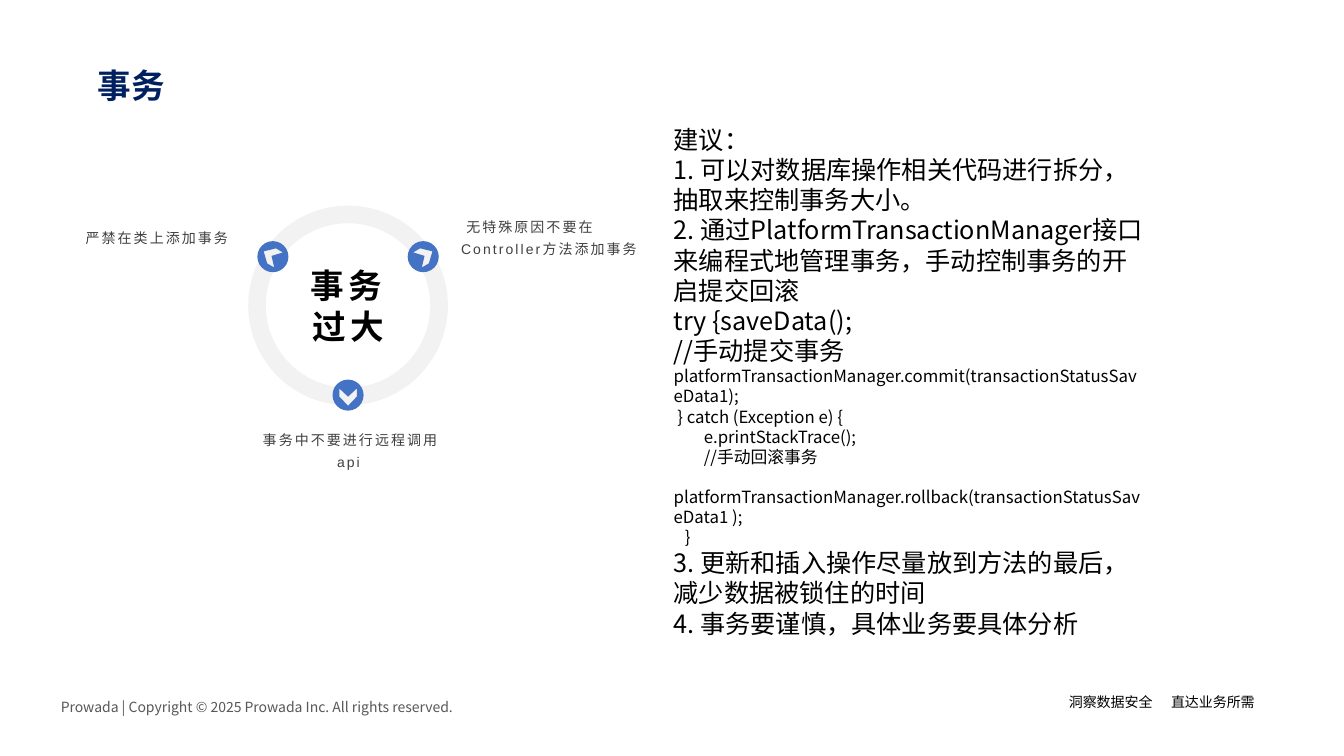
import math
from pptx import Presentation
from pptx import util as u
from pptx.dml.color import RGBColor
from pptx.enum import shapes, text
from pptx.oxml.ns import qn
from lxml import etree

SANS, TITLE_FONT, LABEL_FONT = "Noto Sans CJK SC", "Noto Sans CJK JP", "Arial"
INK, NAVY, BLUE, RING_GREY = "000000", "002060", "4472C4", "F2F2F2"

TITLE = "事务"
HUB = "事务过大"
WARNINGS = [
    (" 严禁在类上添加事务", (18.7, 139.7), "r", "m"),
    (" 无特殊原因不要在Controller方法添加事务", (322.3, 140), "l", "m"),
    (" 事务中不要进行远程调用api", (173.3, 301.3), "ctr", "t"),
]
MARKERS = [(303, 300), (57, 60), (180, 180)]
ADVICE = [
    ("建议：", 18, 0, 0),
    ("1. 可以对数据库操作相关代码进行拆分，抽取来控制事务大小。", 18, 0, 0),
    ("2. 通过PlatformTransactionManager接口来编程式地管理事务，手动控制事务的开启提交回滚", 18, 0, 0),
    ("try {saveData();", 18, 0, 0),
    ("//手动提交事务", 18, 0, 0),
    ("platformTransactionManager.commit(transactionStatusSaveData1);", 12, 0, 0),
    (" } catch (Exception e) {", 12, 0, 0),
    ("e.printStackTrace();", 12, 21.6, 0),
    ("//手动回滚事务", 12, 21.6, 0),
    ("platformTransactionManager.rollback(transactionStatusSaveData1 );", 12, 0, 14.4),
    ("}", 12, 8, 0),
    ("3. 更新和插入操作尽量放到方法的最后，减少数据被锁住的时间", 18, 0, 0),
    ("4. 事务要谨慎，具体业务要具体分析", 18, 0, 0),
]
COPYRIGHT = "Prowada | Copyright © 2025 Prowada Inc. All rights reserved."
SLOGAN = "洞察数据安全\t直达业务所需"

RING_X, RING_Y, RING_SIZE, RING_BAND = 248.6, 218.2, 142.6, 0.088
ORBIT, MARKER_RADIUS = 64, 11.1
CHEVRON = [(0, -7.6), (-6.2, -1.1), (-6.2, 4.7), (0, -1.1), (6.2, 4.7), (6.2, -1.1)]
RIM = [(-MARKER_RADIUS, 0), (0, -MARKER_RADIUS), (MARKER_RADIUS, 0), (0, MARKER_RADIUS),
       (-MARKER_RADIUS, 0)]
QUARTER = 90 * 60000

ALIGN = {"l": text.PP_ALIGN.LEFT, "ctr": text.PP_ALIGN.CENTER, "r": text.PP_ALIGN.RIGHT}
ANCHOR = {"t": text.MSO_ANCHOR.TOP, "m": text.MSO_ANCHOR.MIDDLE, "b": text.MSO_ANCHOR.BOTTOM}

deck = Presentation()
deck.slide_width, deck.slide_height = u.Pt(960), u.Pt(540)
slide = deck.slides.add_slide(deck.slide_layouts[6])


def color(hex_code):
    return RGBColor.from_string(hex_code)


def paint(shape, fill):
    shape.shadow.inherit = False
    shape.fill.solid()
    shape.fill.fore_color.rgb = color(fill)
    shape.line.fill.background()


def write(lines, box, font=SANS, ink=INK, bold=False, align="l", anchor="t",
          leading=None, tracking=0, tab=None):
    frame = slide.shapes.add_textbox(*map(u.Pt, box)).text_frame
    frame.word_wrap = True
    frame.vertical_anchor = ANCHOR[anchor]
    for number, (words, size, indent, gap) in enumerate(lines):
        para = frame.paragraphs[0] if number == 0 else frame.add_paragraph()
        para.alignment = ALIGN[align]
        para.line_spacing = leading or u.Pt(size * 1.2)
        para.space_before = u.Pt(gap)
        props = para._p.get_or_add_pPr()
        if indent:
            props.set("marL", str(u.Pt(indent)))
        if tab:
            stops = etree.SubElement(props, qn("a:tabLst"))
            etree.SubElement(stops, qn("a:tab"), pos=str(u.Pt(tab)), algn="l")
        run = para.add_run()
        run.text = words
        run.font.size, run.font.name, run.font.bold = u.Pt(size), font, bold
        run.font.color.rgb = color(ink)
        if font != LABEL_FONT:
            etree.SubElement(run.font._element, qn("a:ea"), typeface=font)
        if tracking:
            run.font._element.set("spc", str(int(tracking * 100)))


def add_marker(bearing, turn):
    angle = math.radians(bearing)
    x = RING_X + ORBIT * math.sin(angle)
    y = RING_Y - ORBIT * math.cos(angle)
    rim, chevron = [[(u.Pt(x + dx), u.Pt(y + dy)) for dx, dy in part] for part in (RIM, CHEVRON)]
    builder = slide.shapes.build_freeform(*rim[0])
    builder.add_line_segments(rim[1:], close=True)
    builder.move_to(*chevron[0])
    builder.add_line_segments(chevron[1:], close=True)
    marker = builder.convert_to_shape()
    radius = str(u.Pt(MARKER_RADIUS))
    sides = list(marker._element.iter(qn("a:lnTo")))[:4]
    for number, side in enumerate(sides):
        arc = etree.Element(qn("a:arcTo"), wR=radius, hR=radius,
                            stAng=str((number + 2) % 4 * QUARTER), swAng=str(QUARTER))
        side.getparent().replace(side, arc)
    marker.rotation = turn
    paint(marker, BLUE)


write([(SLOGAN, 10, 0, 0)], (756.4, 491.8, 153.4, 19.4), tab=73)
write([(COPYRIGHT, 10, 0, 0)], (36.3, 489.6, 330.5, 25.2), ink="595757", anchor="b", leading=u.Pt(10.8))
write([(TITLE, 24, 0, 0)], (62.6, 42.6, 305.3, 36), font=TITLE_FONT, ink=NAVY, bold=True)
write(ADVICE, (474.1, 85, 350, 387.4))

corner = (RING_X - RING_SIZE / 2, RING_Y - RING_SIZE / 2)
ring = slide.shapes.add_shape(shapes.MSO_SHAPE.DONUT, *map(u.Pt, (*corner, RING_SIZE, RING_SIZE)))
ring.adjustments[0] = RING_BAND
paint(ring, RING_GREY)
for bearing, turn in MARKERS:
    add_marker(bearing, turn)
for words, place, align, anchor in WARNINGS:
    write([(words, 10, 0, 0)], (*place, 151.2, 56.2), font=LABEL_FONT, ink="404040",
          align=align, anchor=anchor, leading=1.3, tracking=1.5)
write([(HUB, 24, 0, 0)], (207.4, 184, 82.8, 68.4), font=LABEL_FONT, bold=True,
      align="ctr", anchor="m", leading=1.0, tracking=3)

deck.save("out.pptx")
